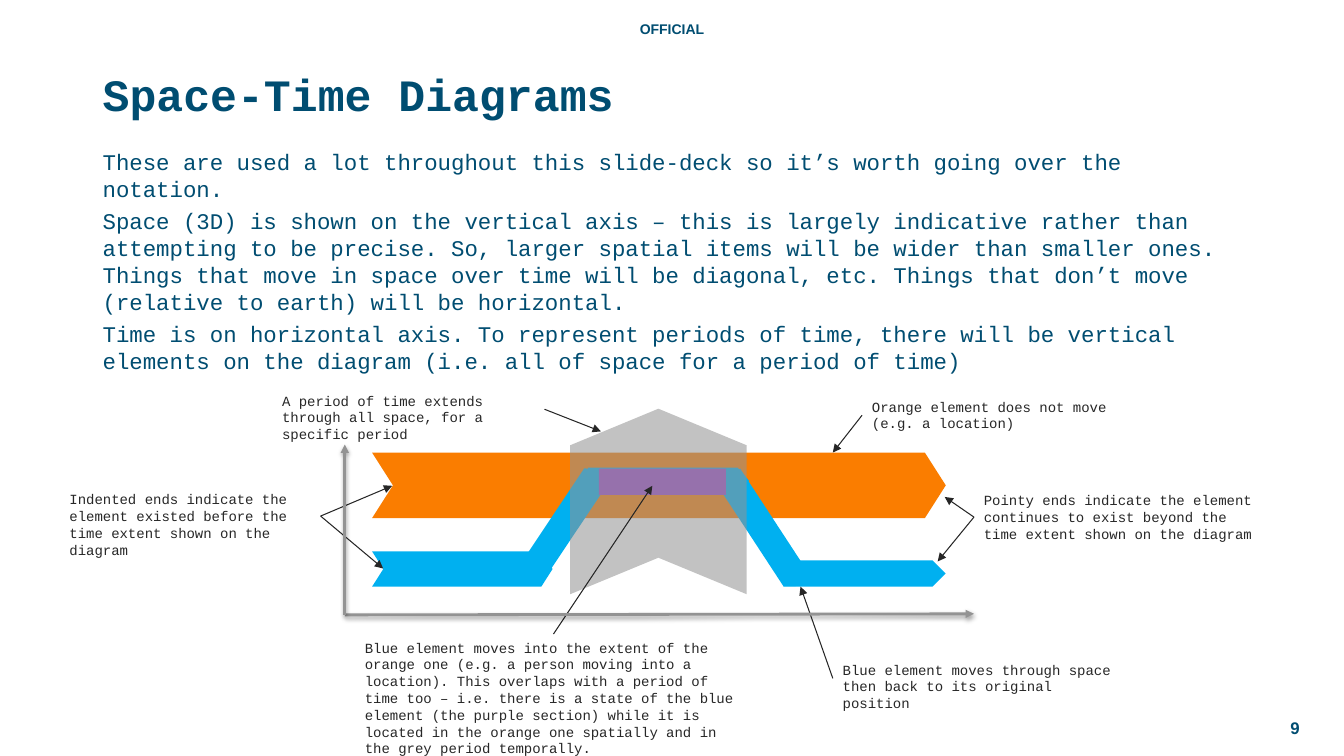
from dataclasses import dataclass
from typing import Optional

from lxml.etree import SubElement
from pptx import Presentation
from pptx.dml.color import RGBColor
from pptx.enum.shapes import MSO_CONNECTOR as Connector, MSO_SHAPE as Preset
from pptx.enum.text import MSO_ANCHOR as Anchor, MSO_AUTO_SIZE as AutoSize, PP_ALIGN as Align
from pptx.oxml.ns import qn
from pptx.util import Inches, Pt

# Colours and fonts
NAVY = RGBColor(0x00, 0x4D, 0x71)
INK = RGBColor(0x27, 0x27, 0x27)
ARROW = RGBColor(0x26, 0x26, 0x26)
ORANGE = RGBColor(0xFA, 0x7D, 0x00)
BLUE = RGBColor(0x00, 0xB0, 0xF0)
PURPLE = RGBColor(0x9A, 0x46, 0xCE)
GREY = RGBColor(0x93, 0x93, 0x93)
MONO, SANS = "Courier New", "Arial"

# Text formats
HEADING = {"name": MONO, "size": Pt(32), "bold": True}
BODY = {"name": MONO, "size": Pt(16)}
NOTE = {"name": MONO, "size": Pt(10)}
MARKING = {"name": SANS, "size": Pt(10), "bold": True}
PAGE = {"name": SANS, "size": Pt(12), "bold": True}


@dataclass
class Label:
    box: tuple[float, float, float, float]
    paragraphs: list[str]
    font: dict
    color: RGBColor = NAVY
    align: Align = Align.LEFT
    anchor: Anchor = Anchor.TOP
    grow: bool = False
    space_before: float = 0


@dataclass
class Element:
    preset: Preset
    box: tuple[float, float, float, float]
    color: RGBColor
    adjustment: Optional[float] = None
    rotation: float = 0
    opacity: Optional[int] = None


@dataclass
class Arrow:
    start: tuple[float, float]
    end: tuple[float, float]
    color: RGBColor = ARROW
    width: float = 0.75
    shadow: bool = False


def note(left: float, top: float, width: float, height: float, text: str) -> Label:
    return Label((left, top, width, height), [text], NOTE, INK, grow=True)


TEXTS = [
    Label((4.06, 0.15, 5.21, 0.27), ["OFFICIAL"], MARKING, align=Align.CENTER, grow=True),
    Label((12.37, 7.02, 0.62, 0.4), ["9"], PAGE, align=Align.RIGHT, anchor=Anchor.MIDDLE),
    Label((0.92, 0.54, 11.63, 0.77), ["Space-Time Diagrams"], HEADING, anchor=Anchor.MIDDLE),
    Label((0.92, 1.42, 11.63, 2.16), [
        "These are used a lot throughout this slide-deck so it’s worth going over the notation.",
        "Space (3D) is shown on the vertical axis – this is largely indicative rather than "
        "attempting to be precise. So, larger spatial items will be wider than smaller ones. "
        "Things that move in space over time will be diagonal, etc. Things that don’t move "
        "(relative to earth) will be horizontal.",
        "Time is on horizontal axis. To represent periods of time, there will be vertical "
        "elements on the diagram (i.e. all of space for a period of time)",
    ], BODY, space_before=3.8),
]

NOTES = [
    note(8.26, 6.51, 2.89, 0.44,
         "Blue element moves through space then back to its original position"),
    note(8.55, 3.9, 2.89, 0.44, "Orange element does not move (e.g. a location)"),
    note(9.66, 4.83, 2.89, 0.61, "Pointy ends indicate the element continues to exist "
         "beyond the time extent shown on the diagram"),
    note(0.59, 4.82, 2.59, 0.61, "Indented ends indicate the element existed before "
         "the time extent shown on the diagram"),
    note(2.7, 3.84, 2.7, 0.44,
         "A period of time extends through all space, for a specific period"),
    note(3.52, 6.29, 3.95, 1.11, "Blue element moves into the extent of the orange one "
         "(e.g. a person moving into a location). This overlaps with a period of time too – "
         "i.e. there is a state of the blue element (the purple section) while it is located "
         "in the orange one spatially and in the grey period temporally."),
]

ELEMENTS = [
    Element(Preset.CHEVRON, (3.69, 4.49, 5.69, 0.65), ORANGE, 0.319),
    # Path of the blue element
    Element(Preset.CHEVRON, (3.69, 5.47, 1.79, 0.35), BLUE, 0.319),
    Element(Preset.PENTAGON, (6.93, 5.13, 1.3, 0.28), BLUE, 0.326, 56.8),
    Element(Preset.PENTAGON, (7.77, 5.56, 1.61, 0.26), BLUE),
    Element(Preset.PENTAGON, (4.95, 5.05, 1.3, 0.28), BLUE, 0.326, 303.7),
    Element(Preset.PENTAGON, (5.83, 4.64, 1.6, 0.26), BLUE, 0.436),
    # State inside the period, then the period itself
    Element(Preset.RECTANGLE, (5.94, 4.65, 1.26, 0.26), PURPLE),
    Element(Preset.CHEVRON, (5.61, 4.1, 1.84, 1.75), GREY, 0.207, 270, 56),
]

POINTY, INDENTED, ORIGIN = (9.66, 5.13), (3.18, 5.12), (3.42, 6.1)
ARROWS = [
    Arrow((8.26, 6.73), (7.94, 5.82)),
    Arrow((8.55, 4.12), (8.26, 4.49)),
    Arrow(POINTY, (9.37, 4.93)),
    Arrow(POINTY, (9.3, 5.57)),
    Arrow(INDENTED, (3.89, 4.82)),
    Arrow(INDENTED, (3.8, 5.64)),
    Arrow((5.4, 4.06), (5.96, 4.28)),
    Arrow((5.49, 6.29), (6.47, 4.82)),
    # Time and space axes
    Arrow(ORIGIN, (9.66, 6.09), GREY, 2, True),
    Arrow(ORIGIN, (3.42, 4.41), GREY, 2, True),
]


def draw_label(slide, label: Label) -> None:
    frame = slide.shapes.add_textbox(*map(Inches, label.box)).text_frame
    frame.word_wrap = True
    frame.vertical_anchor = label.anchor
    frame.auto_size = AutoSize.SHAPE_TO_FIT_TEXT if label.grow else AutoSize.NONE
    for index, text in enumerate(label.paragraphs):
        paragraph = frame.add_paragraph() if index else frame.paragraphs[0]
        paragraph.alignment = label.align
        paragraph.space_before = Pt(label.space_before)
        run = paragraph.add_run()
        run.text = text
        for attribute, value in label.font.items():
            setattr(run.font, attribute, value)
        run.font.color.rgb = label.color


def draw_element(slide, element: Element) -> None:
    shape = slide.shapes.add_shape(element.preset, *map(Inches, element.box))
    shape.shadow.inherit = False
    shape.rotation = element.rotation
    shape.line.fill.background()
    shape.fill.solid()
    shape.fill.fore_color.rgb = element.color
    if element.adjustment is not None:
        shape.adjustments[0] = element.adjustment
    if element.opacity is not None:
        color = shape.fill._xPr.find(".//" + qn("a:srgbClr"))
        SubElement(color, qn("a:alpha"), val=str(element.opacity * 1000))


def draw_arrow(slide, arrow: Arrow) -> None:
    connector = slide.shapes.add_connector(
        Connector.STRAIGHT, *map(Inches, arrow.start + arrow.end))
    connector.line.color.rgb = arrow.color
    connector.line.width = Pt(arrow.width)
    properties = connector._element.spPr
    SubElement(properties.find(qn("a:ln")), qn("a:tailEnd"), type="triangle")
    effects = SubElement(properties, qn("a:effectLst"))
    if arrow.shadow:
        shadow = SubElement(effects, qn("a:outerShdw"), blurRad=str(Pt(3.1)),
                            dist=str(Pt(1.6)), dir="5400000", rotWithShape="0")
        color = SubElement(shadow, qn("a:srgbClr"), val="000000")
        SubElement(color, qn("a:alpha"), val="38000")


def main() -> None:
    presentation = Presentation()
    presentation.slide_width, presentation.slide_height = Inches(13.33), Inches(7.5)
    slide = presentation.slides.add_slide(presentation.slide_layouts[6])
    for label in TEXTS + NOTES:
        draw_label(slide, label)
    for element in ELEMENTS:
        draw_element(slide, element)
    for arrow in ARROWS:
        draw_arrow(slide, arrow)
    presentation.save("out.pptx")


if __name__ == "__main__":
    main()
